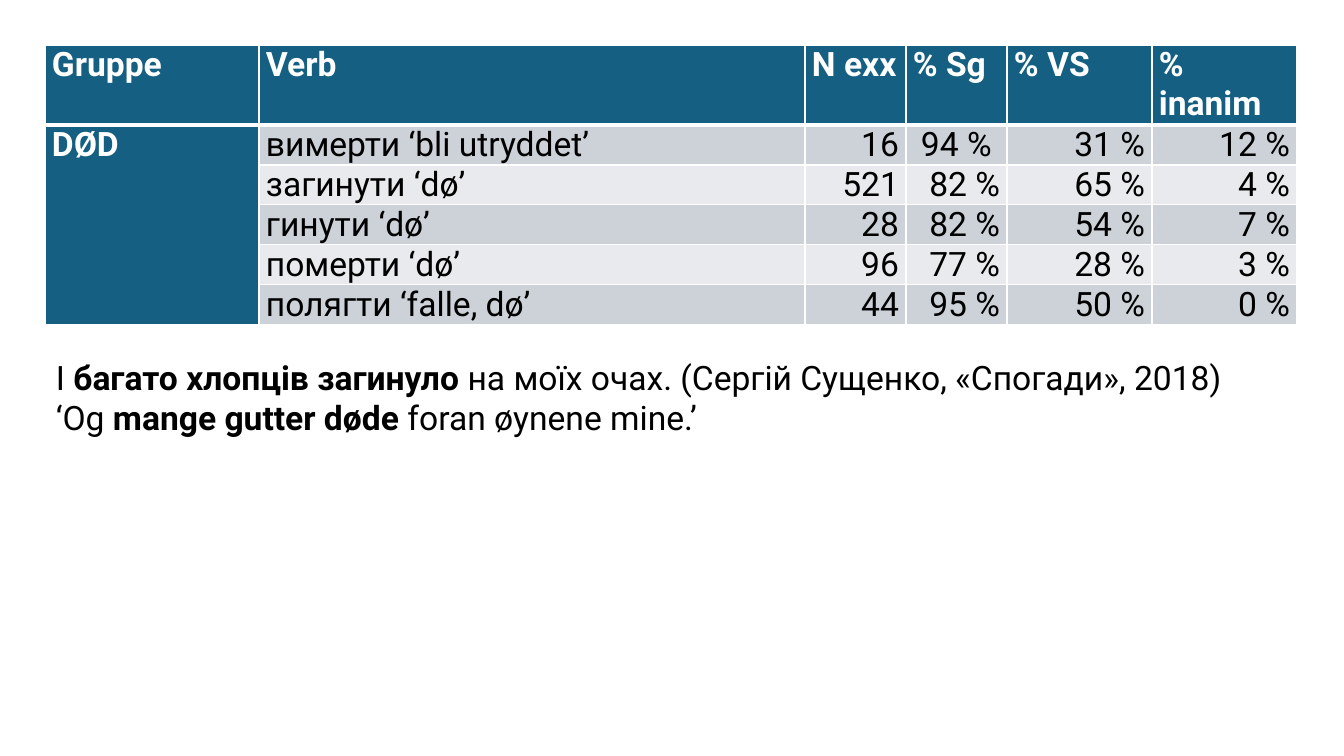
from lxml.etree import SubElement
from pptx import Presentation
from pptx.dml.color import RGBColor
from pptx.enum.text import MSO_AUTO_SIZE, PP_ALIGN
from pptx.oxml.ns import qn
from pptx.util import Emu, Pt

HEADER = ("Gruppe", "Verb", "N exx", "% Sg", "% VS", "% inanim")
GROUP = "DØD"
VERBS = [
    ("вимерти ‘bli utryddet’", "16", "94 % ", "31 %", "12 %"),
    ("загинути ‘dø’", "521", "82 %", "65 %", "4 %"),
    ("гинути ‘dø’", "28", "82 %", "54 %", "7 %"),
    ("померти ‘dø’", "96", "77 %", "28 %", "3 %"),
    ("полягти ‘falle, dø’", "44", "95 %", "50 %", "0 %"),
]
EXAMPLE = [
    [("І ", False), ("багато хлопців загинуло ", True),
     ("на моїх очах. (Сергій Сущенко, «Спогади», 2018)", False)],
    [("‘Og ", False), ("mange gutter døde ", True), ("foran øynene mine.’", False)],
]

TEAL = RGBColor(0x15, 0x60, 0x82)
BANDS = (RGBColor(0xCC, 0xD2, 0xD8), RGBColor(0xE8, 0xEA, 0xED))
WHITE = RGBColor(0xFF, 0xFF, 0xFF)
BLACK = RGBColor(0, 0, 0)
FONT = {"name": "Roboto", "size": Pt(24)}

COLS = (214, 546, 101, 101, 145, 145)
HEAD_H, ROW_H = 80, 40
TABLE_AT = (45, 45)
EXAMPLE_BOX = (46, 352, 1256, 92)
CELL_MARGINS = {"margin_left": 7, "margin_right": 7, "margin_top": 0, "margin_bottom": 0}


def px(n):
    """Turn px into EMU."""
    return Emu(round(n * 914400 / 100.8))


def add_run(p, text, bold, color):
    """Append a formatted run to a paragraph."""
    r = p.add_run()
    r.text = text
    for key, value in {**FONT, "bold": bold}.items():
        setattr(r.font, key, value)
    r.font.color.rgb = color


def set_borders(cell, widths):
    """Draw white cell borders with widths in points, keyed by side."""
    tcPr = cell._tc.get_or_add_tcPr()
    for i, (side, width) in enumerate(widths.items()):
        ln = SubElement(tcPr, qn(f"a:ln{side}"), w=str(Pt(width)))
        fill = SubElement(ln, qn("a:solidFill"))
        SubElement(fill, qn("a:srgbClr"), val=str(WHITE))
        tcPr.insert(i, ln)


def fill_cell(cell, text, row, col):
    """Write and format one table cell."""
    head = row == 0 or col == 0
    for key, value in CELL_MARGINS.items():
        setattr(cell, key, px(value))
    cell.fill.solid()
    cell.fill.fore_color.rgb = TEAL if head else BANDS[(row - 1) % 2]
    p = cell.text_frame.paragraphs[0]
    p.alignment = PP_ALIGN.RIGHT if row and col > 1 else PP_ALIGN.LEFT
    add_run(p, text, head, WHITE if head else BLACK)
    set_borders(cell, {"L": 1, "R": 1, "T": 3 if row == 1 else 1, "B": 1 if row else 3})


def add_verb_table(s):
    """Add the table of verbs with its merged group cell."""
    rows = [HEADER] + [(GROUP, *verb) for verb in VERBS]
    heights = [HEAD_H] + [ROW_H] * len(VERBS)
    size = (sum(COLS), sum(heights))
    table = s.shapes.add_table(len(rows), len(COLS), *map(px, TABLE_AT + size)).table
    for column, width in zip(table.columns, COLS):
        column.width = px(width)
    for row, height in zip(table.rows, heights):
        row.height = px(height)
    table.cell(1, 0).merge(table.cell(len(VERBS), 0))
    for i, row in enumerate(rows):
        for j, text in enumerate(row):
            cell = table.cell(i, j)
            if not cell.is_spanned:
                fill_cell(cell, text, i, j)


def add_example(s):
    """Add the example sentence and its translation."""
    tf = s.shapes.add_textbox(*map(px, EXAMPLE_BOX)).text_frame
    tf.word_wrap = True
    tf.auto_size = MSO_AUTO_SIZE.SHAPE_TO_FIT_TEXT
    for i, line in enumerate(EXAMPLE):
        p = tf.add_paragraph() if i else tf.paragraphs[0]
        for text, bold in line:
            add_run(p, text, bold, BLACK)


def main():
    """Build and save the slide."""
    prs = Presentation()
    prs.slide_width, prs.slide_height = px(1344), px(756)
    s = prs.slides.add_slide(prs.slide_layouts[6])
    add_verb_table(s)
    add_example(s)
    prs.save("out.pptx")


if __name__ == "__main__":
    main()
